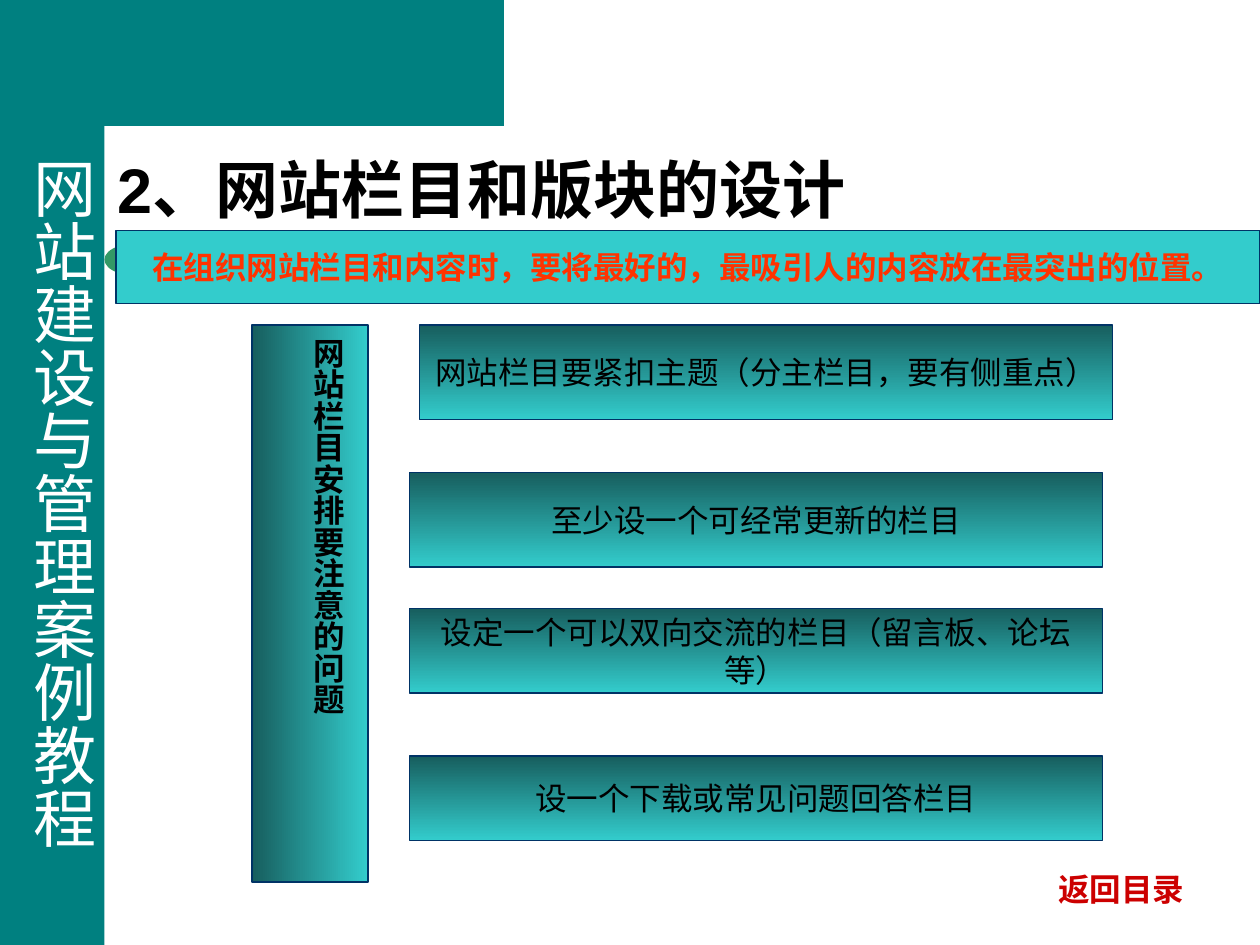
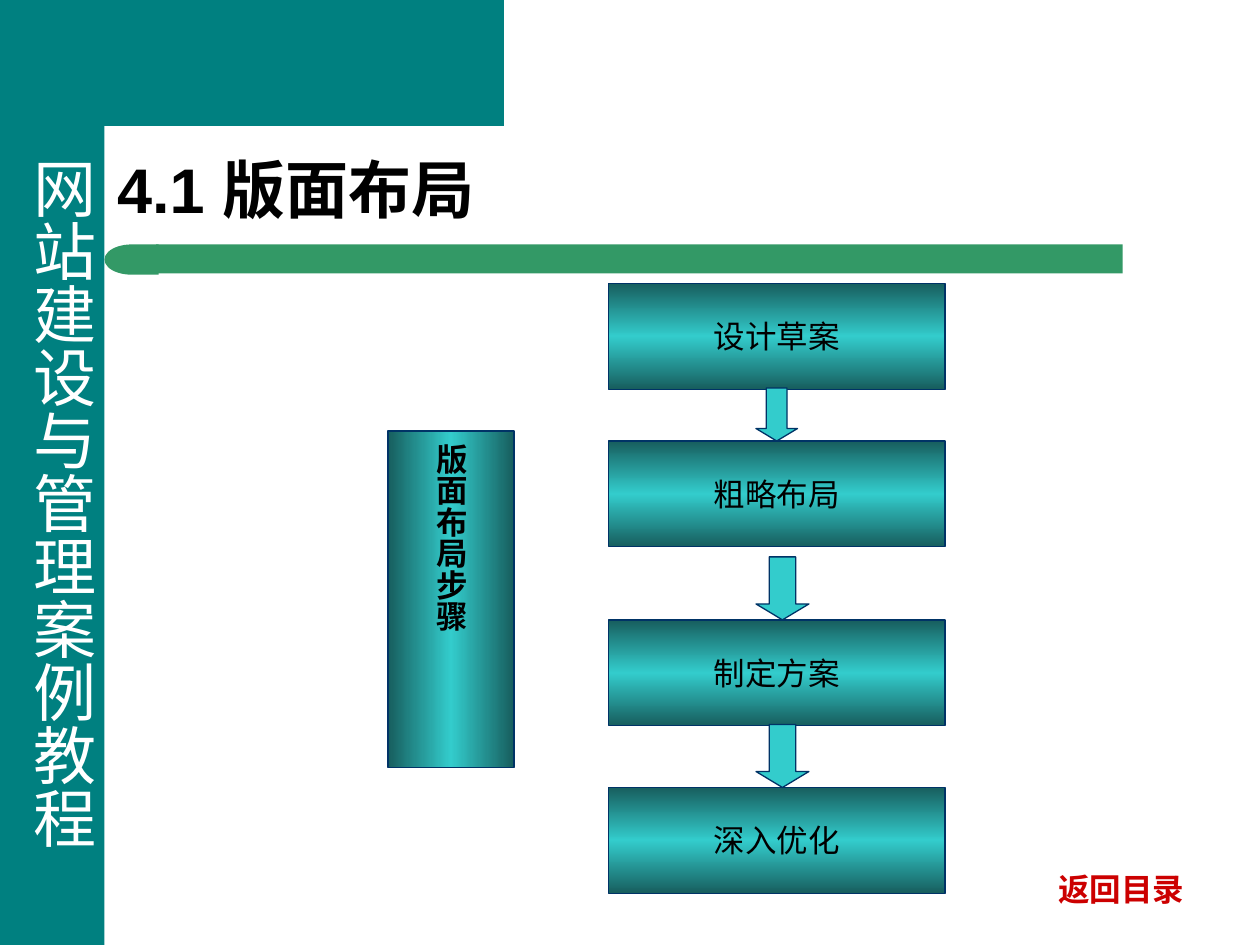
from math import cos, pi, sin

from lxml import etree
from pptx import Presentation
from pptx.dml.color import RGBColor
from pptx.enum.shapes import MSO_SHAPE
from pptx.enum.text import MSO_ANCHOR, MSO_AUTO_SIZE, PP_ALIGN
from pptx.oxml.ns import qn
from pptx.util import Inches, Pt

FONT = "Arial"
TEAL, GREEN = "008080", "339966"
AQUA, DEEP, NAVY = "33CCCC", "175E5E", "003366"
BLACK, WHITE, RED, ORANGE = "000000", "FFFFFF", "CC0000", "FF3300"


def color(value):
    return RGBColor.from_string(value)


class SlideBuilder:
    """Holds the shared style and the slide being built."""

    def __init__(self, presentation):
        self.presentation = presentation
        self.slide = None

    def new_slide(self, title):
        layout = self.presentation.slide_layouts[5]
        self.slide = self.presentation.slides.add_slide(layout)
        self.frame()
        self.title(title)

    def frame(self):
        # Teal side band and its rounded corner
        self.shape(MSO_SHAPE.RECTANGLE, 0, 0, 0.83, 7.5, TEAL)
        self.corner()
        # Rounded end of the title rule
        cap = self.shape(MSO_SHAPE.FLOWCHART_DELAY, 0.83, 1.94, 0.43, 0.24, GREEN)
        cap._element.spPr.find(qn("a:xfrm")).set("flipH", "1")
        # Course name and return label
        self.text_box("网站建设与管理案例教程", 0.05, 1.15, 0.8, 5.6, 36, WHITE,
                      vertical=True)
        self.text_box("返回目录", 8.3, 6.86, 1.2, 0.4, 18, RED, bold=True)

    def corner(self):
        center, radius, steps = 1.16, 0.33, 16
        angles = [pi / 2 * step / steps for step in range(steps + 1)]
        arc = [(center - radius * sin(angle), center - radius * cos(angle))
               for angle in angles]
        builder = self.slide.shapes.build_freeform(0.5, 0, scale=Inches(1))
        builder.add_line_segments(
            [(3.5, 0), (3.5, 0.83), *arc, (0.83, 1.28), (0.5, 1.28)])
        self.paint(builder.convert_to_shape(), TEAL)

    def title(self, text):
        title = self.slide.shapes.title
        title.left, title.top = Inches(0.83), Inches(0.76)
        title.width, title.height = Inches(8.67), Inches(1.09)
        title.text_frame.auto_size = MSO_AUTO_SIZE.NONE
        self.set_text(title, text, 36, BLACK, bold=True,
                      align=PP_ALIGN.LEFT, anchor=MSO_ANCHOR.BOTTOM)
        title.text_frame.paragraphs[0].line_spacing = 0.9

    def text_box(self, text, left, top, width, height, size, font_color,
                 bold=False, vertical=False):
        box = self.slide.shapes.add_textbox(
            Inches(left), Inches(top), Inches(width), Inches(height))
        self.set_text(box, text, size, font_color, bold, PP_ALIGN.LEFT,
                      MSO_ANCHOR.TOP, vertical, wrap=False)

    def shape(self, kind, left, top, width, height, fill, line=None):
        shape = self.slide.shapes.add_shape(
            kind, Inches(left), Inches(top), Inches(width), Inches(height))
        self.paint(shape, fill, line)
        return shape

    def paint(self, shape, fill, line=None):
        shape.shadow.inherit = False
        shape.fill.solid()
        shape.fill.fore_color.rgb = color(fill)
        if line:
            shape.line.color.rgb = color(line)
            shape.line.width = Pt(0.75)
        else:
            shape.line.fill.background()

    def gradient(self, shape, colors, angle):
        """Spread the colors evenly; the angle runs counter-clockwise."""
        shape.fill.gradient()
        shape.fill.gradient_angle = angle
        stops = shape._element.spPr.find(qn("a:gradFill")).find(qn("a:gsLst"))
        for stop in list(stops):
            stops.remove(stop)
        for index, value in enumerate(colors):
            position = 100000 * index // (len(colors) - 1)
            stop = etree.SubElement(stops, qn("a:gs"), pos=str(position))
            etree.SubElement(stop, qn("a:srgbClr"), val=value)

    def box(self, text, left, top, width, height, colors,
            kind=MSO_SHAPE.RECTANGLE):
        box = self.shape(kind, left, top, width, height, AQUA, NAVY)
        self.gradient(box, colors, 270)
        self.set_text(box, text, 18, BLACK)

    def vertical_label(self, text, left, top, width, height, colors,
                       kind=MSO_SHAPE.RECTANGLE):
        label = self.shape(kind, left, top, width, height, AQUA, NAVY)
        self.gradient(label, colors, 180)
        self.set_text(label, text, 18, BLACK, bold=True, vertical=True)
        return label

    def arrow(self, left, top, width, height):
        arrow = self.shape(MSO_SHAPE.DOWN_ARROW, left, top, width, height,
                           AQUA, NAVY)
        arrow.adjustments[1] = 0.3

    def set_text(self, shape, text, size, font_color, bold=False,
                 align=PP_ALIGN.CENTER, anchor=MSO_ANCHOR.MIDDLE,
                 vertical=False, wrap=True):
        frame = shape.text_frame
        frame.word_wrap = wrap
        frame.vertical_anchor = anchor
        across, along = (0.05, 0.1) if vertical else (0.1, 0.05)
        frame.margin_left = frame.margin_right = Inches(across)
        frame.margin_top = frame.margin_bottom = Inches(along)
        if vertical:
            frame._txBody.bodyPr.set("vert", "eaVert")
        paragraph = frame.paragraphs[0]
        paragraph.text = text
        paragraph.alignment = align
        font = paragraph.font
        font.name, font.size, font.bold = FONT, Pt(size), bold
        font.color.rgb = color(font_color)


def build_sections_slide(builder):
    builder.new_slide("2、网站栏目和版块的设计")
    process = MSO_SHAPE.FLOWCHART_PROCESS

    # Points to watch
    points = [
        ("网站栏目要紧扣主题（分主栏目，要有侧重点）", 3.33, 2.58, 0.75),
        ("至少设一个可经常更新的栏目", 3.25, 3.75, 0.75),
        ("设定一个可以双向交流的栏目（留言板、论坛等）", 3.25, 4.83, 0.67),
        ("设一个下载或常见问题回答栏目", 3.25, 6, 0.67),
    ]
    for text, left, top, height in points:
        builder.box(text, left, top, 5.5, height, [DEEP, AQUA], process)

    # Heading of the points, set toward the right edge
    label = builder.vertical_label("网站栏目安排要注意的问题", 2, 2.58, 0.92,
                                   4.42, [AQUA, DEEP], process)
    label.text_frame.margin_left = Inches(0.34)

    # Key message
    banner = builder.shape(MSO_SHAPE.RECTANGLE, 0.92, 1.83, 9.08, 0.58,
                           AQUA, NAVY)
    builder.set_text(
        banner,
        "在组织网站栏目和内容时，要将最好的，最吸引人的内容放在最突出的位置。",
        18, ORANGE, bold=True, wrap=False)


def build_layout_steps_slide(builder):
    builder.new_slide("4.1 版面布局")
    builder.shape(MSO_SHAPE.RECTANGLE, 1.24, 1.94, 7.67, 0.23, GREEN)
    colors = [DEEP, AQUA, DEEP]

    # Steps and the arrows between them
    steps = [("设计草案", 2.25), ("粗略布局", 3.5),
             ("制定方案", 4.92), ("深入优化", 6.25)]
    for text, top in steps:
        builder.box(text, 4.83, top, 2.67, 0.84, colors)
    for top, width, height in [(3.08, 0.33, 0.42), (4.42, 0.42, 0.5),
                               (5.75, 0.42, 0.5)]:
        builder.arrow(6, top, width, height)

    # Heading of the steps
    builder.vertical_label("版面布局步骤", 3.08, 3.42, 1, 2.67, colors)


def main():
    presentation = Presentation()
    presentation.slide_width = Inches(10)
    presentation.slide_height = Inches(7.5)
    builder = SlideBuilder(presentation)
    build_sections_slide(builder)
    build_layout_steps_slide(builder)
    presentation.save("out.pptx")


if __name__ == "__main__":
    main()
